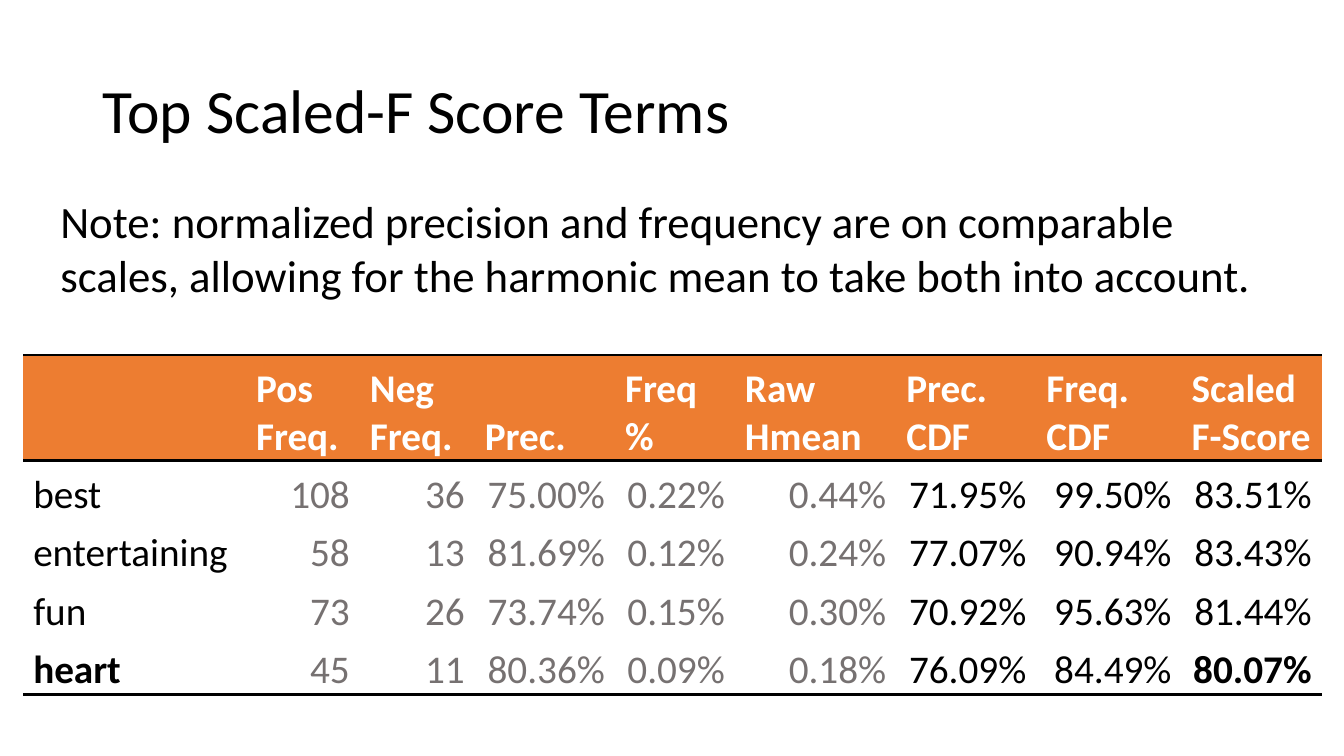
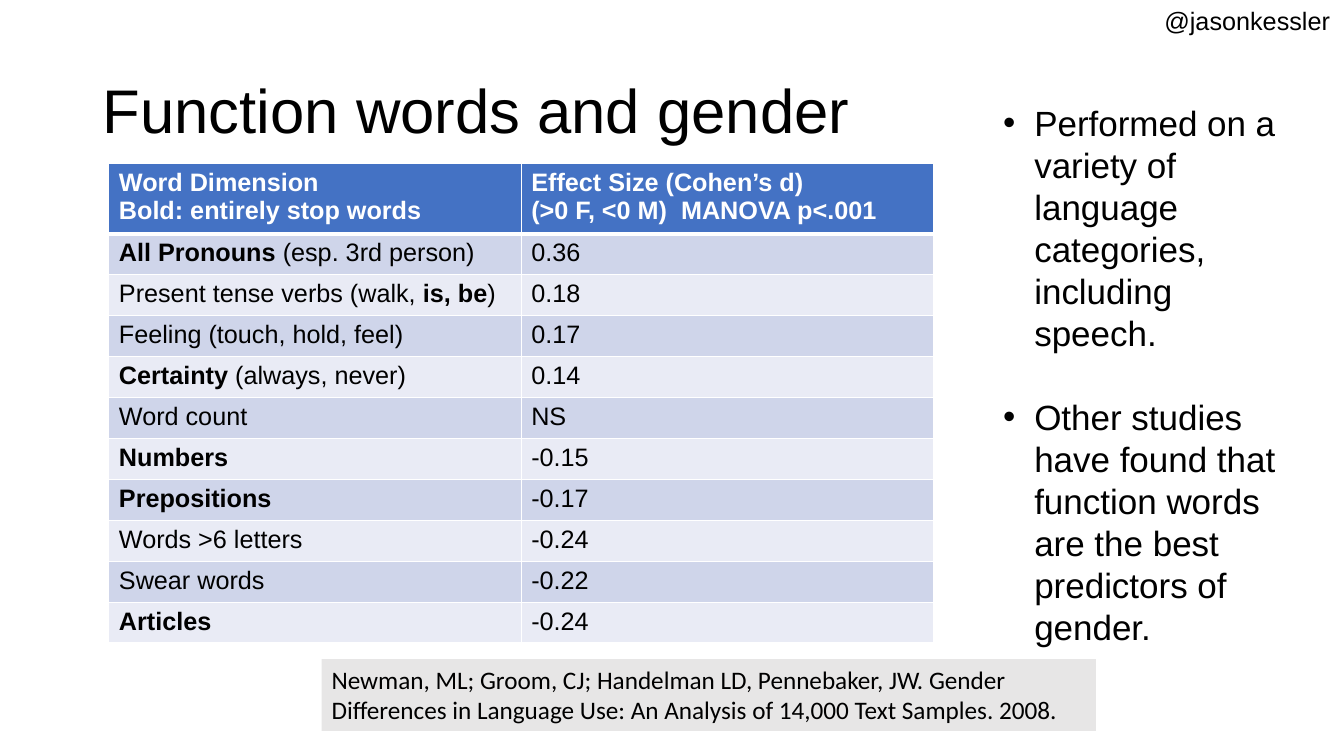
from lxml import etree
from pptx import Presentation
from pptx.dml.color import RGBColor
from pptx.enum import shapes, text
from pptx.oxml import ns
from pptx.util import Inches, Pt

COLORS = {
    "ink": "000000", "paper": "FFFFFF", "muted": "767171", "orange": "ED7D31",
    "blue": "4472C4", "band_dark": "CFD5EA", "band_light": "E9EBF5", "citation": "E7E6E6",
}
LEFT, RIGHT = text.PP_ALIGN.LEFT, text.PP_ALIGN.RIGHT


def write(frame, content, font, size, color="ink", bold=False, align=LEFT):
    for index, line in enumerate(content.split("\n")):
        paragraph = frame.paragraphs[0] if index == 0 else frame.add_paragraph()
        paragraph.alignment = align
        paragraph.font.name = font
        paragraph.font.size = Pt(size)
        paragraph.font.color.rgb = RGBColor.from_string(COLORS[color])
        paragraph.font.bold = bold
        for position, part in enumerate(line.split("**")):
            if part:
                run = paragraph.add_run()
                run.text = part
                if position % 2:
                    run.font.bold = True


def paint(cell, fill, borders):
    cell.fill.solid()
    cell.fill.fore_color.rgb = RGBColor.from_string(COLORS[fill])
    properties = cell._tc.get_or_add_tcPr()
    for index, side in enumerate(("lnL", "lnR", "lnT", "lnB")):
        color, width = borders.get(side, (None, 0))
        line = etree.Element(ns.qn("a:" + side), w=str(Pt(width)))
        if color:
            solid = etree.SubElement(line, ns.qn("a:solidFill"))
            etree.SubElement(solid, ns.qn("a:srgbClr"), val=COLORS[color])
        else:
            etree.SubElement(line, ns.qn("a:noFill"))
        properties.insert(index, line)


deck = Presentation()
deck.slide_width, deck.slide_height = Inches(13.33), Inches(7.5)

slides = []
for heading, font in (("Top Scaled-F Score Terms", "Calibri"), ("Function words and gender", "Arial")):
    slide = deck.slides.add_slide(deck.slide_layouts[5])
    title = slide.shapes.title
    title.left, title.top, title.width, title.height = Inches(0.92), Inches(0.4), Inches(11.5), Inches(1.45)
    title.text_frame.auto_size = text.MSO_AUTO_SIZE.NONE
    title.text_frame.vertical_anchor = text.MSO_ANCHOR.MIDDLE
    write(title.text_frame, heading, font, 44)
    title.text_frame.paragraphs[0].line_spacing = 0.9
    slides.append(slide)
scores_slide, gender_slide = slides

note = scores_slide.shapes.add_textbox(Inches(0.5), Inches(1.87), Inches(12.33), Inches(1.18)).text_frame
note.word_wrap = True
write(note, "Note: normalized precision and frequency are on comparable scales, "
      "allowing for the harmonic mean to take both into account.", "Calibri", 32)

score_rows = [
    ["", "Pos Freq.", "Neg Freq.", "Prec.", "Freq %", "Raw Hmean", "Prec. CDF", "Freq. CDF", "Scaled\nF-Score"],
    ["best", "108", "36", "75.00%", "0.22%", "0.44%", "71.95%", "99.50%", "83.51%"],
    ["entertaining", "58", "13", "81.69%", "0.12%", "0.24%", "77.07%", "90.94%", "83.43%"],
    ["fun", "73", "26", "73.74%", "0.15%", "0.30%", "70.92%", "95.63%", "81.44%"],
    ["**heart**", "45", "11", "80.36%", "0.09%", "0.18%", "76.09%", "84.49%", "**80.07%**"],
]
score_widths = [2.21, 1.13, 1.14, 1.39, 1.19, 1.6, 1.39, 1.44, 1.39]
scores = scores_slide.shapes.add_table(
    len(score_rows), len(score_widths), Inches(0.23), Inches(3.52), Inches(12.87), Inches(3.3)).table
scores.horz_banding = False
for column, width in zip(scores.columns, score_widths):
    column.width = Inches(width)
rule = ("ink", 2)
for r, values in enumerate(score_rows):
    header = r == 0
    scores.rows[r].height = Inches(1.05 if header else 0.58)
    borders = {}
    if r <= 1:
        borders["lnT"] = rule
    if header or r == len(score_rows) - 1:
        borders["lnB"] = rule
    for c, value in enumerate(values):
        cell = scores.cell(r, c)
        cell.vertical_anchor = text.MSO_ANCHOR.BOTTOM
        cell.margin_left = cell.margin_right = cell.margin_top = Inches(0.1)
        cell.margin_bottom = 0
        color = "paper" if header else "muted" if 1 <= c <= 5 else "ink"
        write(cell.text_frame, value, "Calibri", 28, color, header, LEFT if header or c == 0 else RIGHT)
        paint(cell, "orange" if header else "paper", borders)

citation = gender_slide.shapes.add_shape(
    shapes.MSO_SHAPE.RECTANGLE, Inches(3.19), Inches(6.54), Inches(7.68), Inches(0.71))
citation.shadow.inherit = False
citation.fill.solid()
citation.fill.fore_color.rgb = RGBColor.from_string(COLORS["citation"])
citation.line.fill.background()
citation.text_frame.word_wrap = True
citation.text_frame.vertical_anchor = text.MSO_ANCHOR.TOP
write(citation.text_frame, "Newman, ML; Groom, CJ; Handelman LD, Pennebaker, JW. Gender Differences "
      "in Language Use: An Analysis of 14,000 Text Samples. 2008.", "Calibri", 18)

effect_rows = [
    ("Word Dimension\nBold: entirely stop words", "Effect Size (Cohen’s d)\n(>0 F, <0 M)  MANOVA p<.001"),
    ("**All Pronouns** (esp. 3rd person)", "0.36"),
    ("Present tense verbs (walk, **is, be**)", "0.18"),
    ("Feeling (touch, hold, feel)", "0.17"),
    ("**Certainty** (always, never)", "0.14"),
    ("Word count", "NS"),
    ("**Numbers**", "-0.15"),
    ("**Prepositions**", "-0.17"),
    ("Words >6 letters", "-0.24"),
    ("Swear words", "-0.22"),
    ("**Articles**", "-0.24"),
]
effects_height, header_height = 4.76, 0.7
row_height = (effects_height - header_height) / (len(effect_rows) - 1)
effects = gender_slide.shapes.add_table(
    len(effect_rows), 2, Inches(1.08), Inches(1.62), Inches(8.18), Inches(effects_height)).table
for r, values in enumerate(effect_rows):
    header = r == 0
    effects.rows[r].height = Inches(header_height if header else row_height)
    borders = {side: ("paper", 1) for side in ("lnL", "lnR", "lnT", "lnB")}
    if r <= 1:
        borders["lnB" if header else "lnT"] = ("paper", 3)
    fill = "blue" if header else "band_dark" if r % 2 else "band_light"
    for c, value in enumerate(values):
        write(effects.cell(r, c).text_frame, value, "Arial", 18, "paper" if header else "ink", header)
        paint(effects.cell(r, c), fill, borders)

findings = gender_slide.shapes.add_textbox(Inches(9.85), Inches(0.96), Inches(3.19), Inches(5.57)).text_frame
findings.word_wrap = True
findings.margin_right = Inches(0.2)
findings.text = ("Performed on a variety of language categories, including speech.\n"
                 "Other studies have found that function words are the best predictors of gender.")
for index, finding in enumerate(findings.paragraphs):
    properties = finding._p.get_or_add_pPr()
    properties.set("marL", str(Inches(0.31)))
    properties.set("indent", str(Inches(-0.31)))
    etree.SubElement(properties, ns.qn("a:buFont"), typeface="Arial")
    etree.SubElement(properties, ns.qn("a:buChar"), char="•")
    if index:
        finding.space_before = Pt(30)
    finding.font.name = "Arial"
    finding.font.size = Pt(25)
    finding.font.color.rgb = RGBColor.from_string(COLORS["ink"])

handle = gender_slide.shapes.add_textbox(Inches(11.45), 0, Inches(1.86), Inches(0.4)).text_frame
handle.word_wrap = False
write(handle, "@jasonkessler", "Arial", 18)

deck.save("out.pptx")
